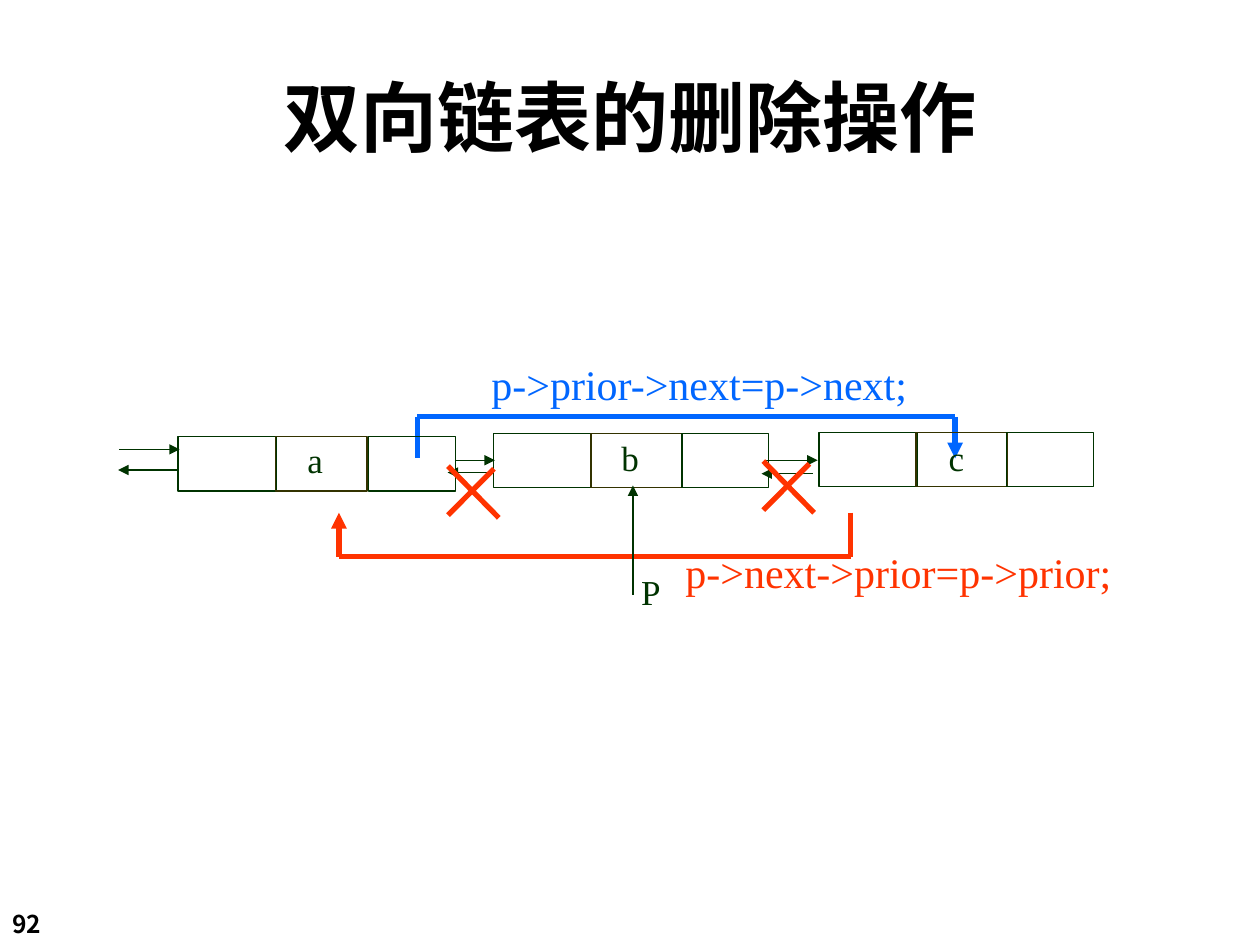
import pptx
import pptx.dml.color
import pptx.enum.shapes
import pptx.enum.text
import pptx.oxml
import pptx.oxml.ns
import pptx.util

Pt = pptx.util.Pt
RGBColor = pptx.dml.color.RGBColor
ALIGN = pptx.enum.text.PP_ALIGN
ANCHOR = pptx.enum.text.MSO_ANCHOR
AUTO_SIZE = pptx.enum.text.MSO_AUTO_SIZE

THEME = {
    "black": RGBColor(0x00, 0x00, 0x00),
    "green": RGBColor(0x00, 0x33, 0x00),
    "olive": RGBColor(0x33, 0x33, 0x00),
    "blue": RGBColor(0x00, 0x66, 0xFF),
    "red": RGBColor(0xFF, 0x33, 0x00),
    "heading_font": "Noto Sans CJK SC",
    "code_font": "Times New Roman",
    "title": 44,
    "code": 24,
    "label": 20,
    "number": 14,
    "thin": 0.75,
    "thick": 3,
}


def write_text(shape, text, color, size, font_name, bold=False, frame_format=None, paragraph_format=None):
    """Fill a shape with one paragraph, naming the font for Latin and East Asian text."""
    frame = shape.text_frame
    for name, value in (frame_format or {}).items():
        setattr(frame, name, value)
    paragraph = frame.paragraphs[0]
    for name, value in (paragraph_format or {}).items():
        setattr(paragraph, name, value)
    run = paragraph.add_run()
    run.text = text
    for name, value in {"size": Pt(THEME[size]), "name": THEME[font_name], "bold": bold}.items():
        setattr(run.font, name, value)
    run.font.color.rgb = THEME[color]
    east_asian = pptx.oxml.parse_xml(
        f'<a:ea {pptx.oxml.ns.nsdecls("a")} typeface="{THEME[font_name]}"/>')
    run.font._element.find(pptx.oxml.ns.qn("a:latin")).addnext(east_asian)


def draw_line(shapes, start, end, color="green", width="thin", arrow=False):
    """Draw a straight line, with an optional arrowhead at its end."""
    connector = shapes.add_connector(
        pptx.enum.shapes.MSO_CONNECTOR.STRAIGHT, *(Pt(value) for value in (*start, *end)))
    connector.line.color.rgb = THEME[color]
    connector.line.width = Pt(THEME[width])
    namespace = pptx.oxml.ns.nsdecls("a")
    if arrow:
        connector.line._get_or_add_ln().append(
            pptx.oxml.parse_xml(f'<a:tailEnd {namespace} type="triangle"/>'))
    connector._element.spPr.append(pptx.oxml.parse_xml(f"<a:effectLst {namespace}/>"))


presentation = pptx.Presentation()
presentation.slide_width = Pt(720)
presentation.slide_height = Pt(540)
slide = presentation.slides.add_slide(presentation.slide_layouts[5])

title = slide.shapes.title
for name, value in {"left": 30, "top": 30, "width": 660, "height": 72}.items():
    setattr(title, name, Pt(value))
write_text(title, "双向链表的删除操作", "black", "title", "heading_font", True,
           {"vertical_anchor": ANCHOR.MIDDLE, "auto_size": AUTO_SIZE.NONE, "word_wrap": True},
           {"alignment": ALIGN.CENTER})

# New links that bypass node b, each ending in an arrowhead
bypasses = [
    ("blue", [(238.5, 261.5), (238.5, 238.2), (545.8, 238.2), (545.8, 262)]),
    ("red", [(486, 293), (486, 318.2), (193.7, 318.2), (193.7, 293)]),
]
for color, points in bypasses:
    group = slide.shapes.add_group_shape()
    for index in range(3):
        draw_line(group.shapes, points[index], points[index + 1], color, "thick", index == 2)

# List nodes: prior, data and next cells
cell_styles = [(56, "green"), (52.5, "olive"), (49.5, "green")]
nodes = [
    (249.6, (101.7, 157.3, 210.7)),
    (247.6, (282.2, 337.7, 389.7)),
    (247.2, (468, 523.4, 575.3)),
]
for top, lefts in nodes:
    for left, (width, color) in zip(lefts, cell_styles):
        cell = slide.shapes.add_shape(pptx.enum.shapes.MSO_SHAPE.RECTANGLE,
                                      Pt(left), Pt(top), Pt(width), Pt(31))
        cell.shadow.inherit = False
        cell.fill.background()
        cell.line.color.rgb = THEME[color]
        cell.line.width = Pt(THEME["thin"])

# Horizontal links as start x, end x, y
for start, end, y in [
    (68, 102.7, 256.8), (260, 282.8, 263), (437, 467.2, 263),
    (102.2, 67.5, 268.6), (278.8, 255.8, 270), (464.5, 435.2, 270.7),
]:
    draw_line(slide.shapes, (start, y), (end, y), arrow=True)
draw_line(slide.shapes, (361.7, 340), (361.7, 277.4), arrow=True)

# Crosses over the removed links
for left, top in [(256, 266.4), (436.2, 263.5)]:
    group = slide.shapes.add_group_shape()
    draw_line(group.shapes, (left + 26.3, top + 1.5), (left, top + 28), "red", "thick")
    draw_line(group.shapes, (left, top), (left + 29, top + 29.5), "red", "thick")

for text, left, top, width, height, color, size in [
    ("a", 168.5, 249.8, 23, 28.8, "green", "label"),
    ("b", 347.8, 248.4, 24.4, 28.8, "green", "label"),
    ("c", 535, 248.4, 23, 28.8, "green", "label"),
    ("P", 359.3, 325.4, 25.2, 28.8, "green", "label"),
    ("p->prior->next=p->next;", 273.6, 204.5, 252, 33, "blue", "code"),
    ("p->next->prior=p->prior;", 384.5, 311.8, 257.8, 33, "red", "code"),
]:
    box = slide.shapes.add_textbox(Pt(left), Pt(top), Pt(width), Pt(height))
    write_text(box, text, color, size, "code_font", False,
               {"word_wrap": False, "vertical_anchor": ANCHOR.MIDDLE,
                "auto_size": AUTO_SIZE.SHAPE_TO_FIT_TEXT},
               {"alignment": ALIGN.CENTER, "line_spacing": 0.9})

page_number = slide.shapes.add_textbox(Pt(0), Pt(516), Pt(60), Pt(24.5))
write_text(page_number, "92", "black", "number", "heading_font", True,
           {"word_wrap": True, "auto_size": AUTO_SIZE.SHAPE_TO_FIT_TEXT})

presentation.save("out.pptx")
